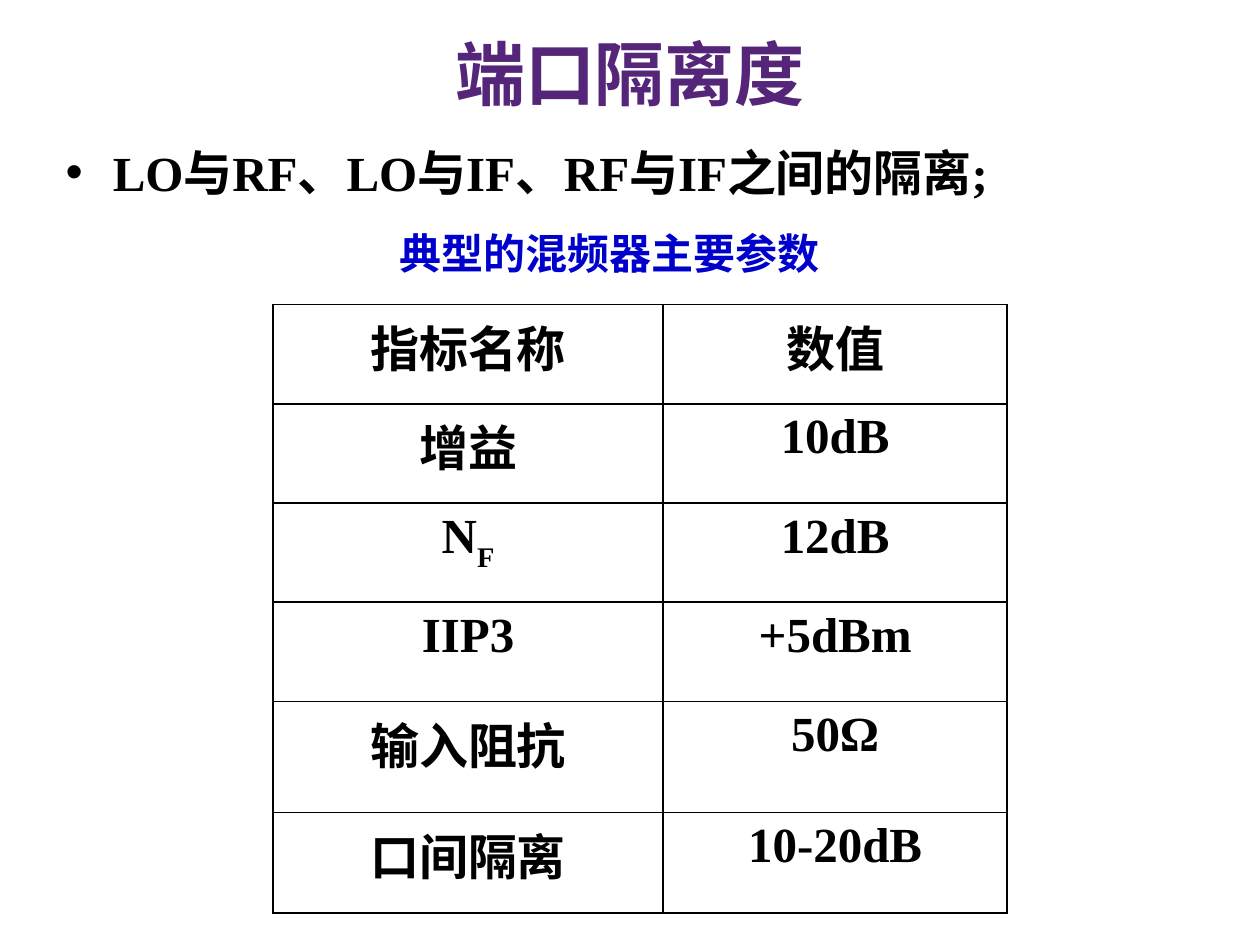
from lxml import etree
from pptx import Presentation
from pptx.dml.color import RGBColor
from pptx.enum.text import MSO_ANCHOR, MSO_AUTO_SIZE, PP_ALIGN
from pptx.oxml.ns import qn
from pptx.util import Cm, Pt

BLACK = RGBColor(0x00, 0x00, 0x00)
PURPLE = RGBColor(0x55, 0x25, 0x79)
BLUE = RGBColor(0x00, 0x00, 0xCC)
LATIN = "Times New Roman"
HAN = "Noto Sans CJK SC"
CENTER, LEFT = PP_ALIGN.CENTER, PP_ALIGN.LEFT
MIDDLE, TOP = MSO_ANCHOR.MIDDLE, MSO_ANCHOR.TOP
FIXED = MSO_AUTO_SIZE.NONE

ROWS = [
    (["指标名称"], ["数值"]),
    (["增益"], ["10dB"]),
    (["N", "F"], ["12dB"]),
    (["IIP3"], ["+5dBm"]),
    (["输入阻抗"], ["50Ω"]),
    (["口间隔离"], ["10-20dB"]),
]
WIDTHS = [7.87, 6.93]
HEIGHTS = [2, 2, 2, 2, 2.24, 2.03]


class Page:
    def __init__(self, slide):
        self.slide = slide
        self.size = 28

    def run(self, para, text, size=None, color=BLACK, name=LATIN):
        run = para.add_run()
        run.text = text
        font = run.font
        font.size, font.bold, font.name = Pt(size or self.size), True, name
        font.color.rgb = color
        etree.SubElement(font._element, qn("a:ea"), typeface=HAN)
        return run

    def place(self, shape, box, anchor):
        """Move a shape and return its first paragraph."""
        shape.left, shape.top, shape.width, shape.height = map(Cm, box)
        frame = shape.text_frame
        frame.word_wrap, frame.auto_size = True, FIXED
        frame.vertical_anchor = anchor
        return frame.paragraphs[0]

    def title(self, text, box):
        para = self.place(self.slide.shapes.title, box, MIDDLE)
        para.alignment = CENTER
        self.run(para, text, 40, PURPLE, HAN)

    def bullet(self, text, box):
        para = self.place(self.slide.placeholders[1], box, TOP)
        para.alignment, para.space_before = LEFT, Pt(0)
        props = para._p.get_or_add_pPr()
        props.set("marL", str(Cm(0.95)))
        props.set("indent", str(-Cm(0.95)))
        etree.SubElement(props, qn("a:buChar"), char="•")
        self.run(para, text)

    def label(self, text, box):
        shape = self.slide.shapes.add_textbox(*map(Cm, box))
        para = self.place(shape, box, MIDDLE)
        para.alignment = CENTER
        self.run(para, text, 24, BLUE)

    def border(self, cell):
        props = cell._tc.get_or_add_tcPr()
        for side in ("lnL", "lnR", "lnT", "lnB"):
            line = etree.SubElement(props, qn(f"a:{side}"), w=str(Pt(1)))
            fill = etree.SubElement(line, qn("a:solidFill"))
            etree.SubElement(fill, qn("a:srgbClr"), val=str(BLACK))

    def cell(self, cell, parts):
        """Fill a cell with a base text and an optional subscript."""
        self.border(cell)
        cell.fill.background()
        para = cell.text_frame.paragraphs[0]
        para.alignment = CENTER
        base, *subs = parts
        self.run(para, base)
        for sub in subs:
            self.run(para, sub).font._element.set("baseline", "-30000")

    def table(self, rows, left, top):
        table = self.slide.shapes.add_table(
            len(rows), len(WIDTHS), Cm(left), Cm(top),
            Cm(sum(WIDTHS)), Cm(sum(HEIGHTS))).table
        table.first_row = table.horz_banding = False
        for col, width in zip(table.columns, WIDTHS):
            col.width = Cm(width)
        for row, height, texts in zip(table.rows, HEIGHTS, rows):
            row.height = Cm(height)
            for cell, parts in zip(row.cells, texts):
                self.cell(cell, parts)


def main():
    deck = Presentation()
    deck.slide_width, deck.slide_height = Cm(25.4), Cm(19.05)
    page = Page(deck.slides.add_slide(deck.slide_layouts[1]))
    page.title("端口隔离度", (1.27, 0.48, 22.86, 1.98))
    page.bullet("LO与RF、LO与IF、RF与IF之间的隔离;", (1.07, 2.74, 22.86, 1.7))
    page.label("典型的混频器主要参数", (5.72, 4.45, 13.13, 1.27))
    page.table(ROWS, 5.5, 6.14)
    deck.save("out.pptx")


if __name__ == "__main__":
    main()
